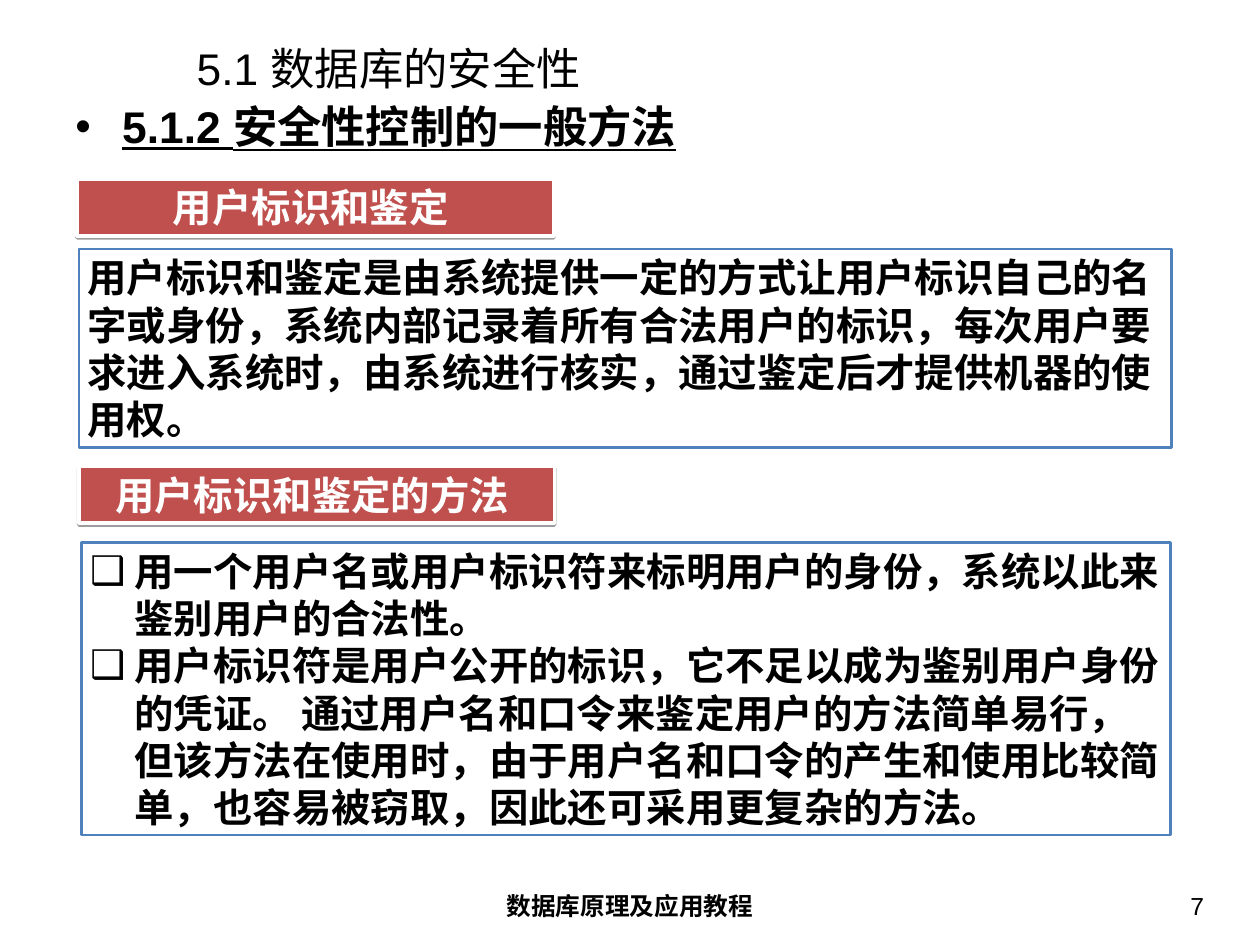
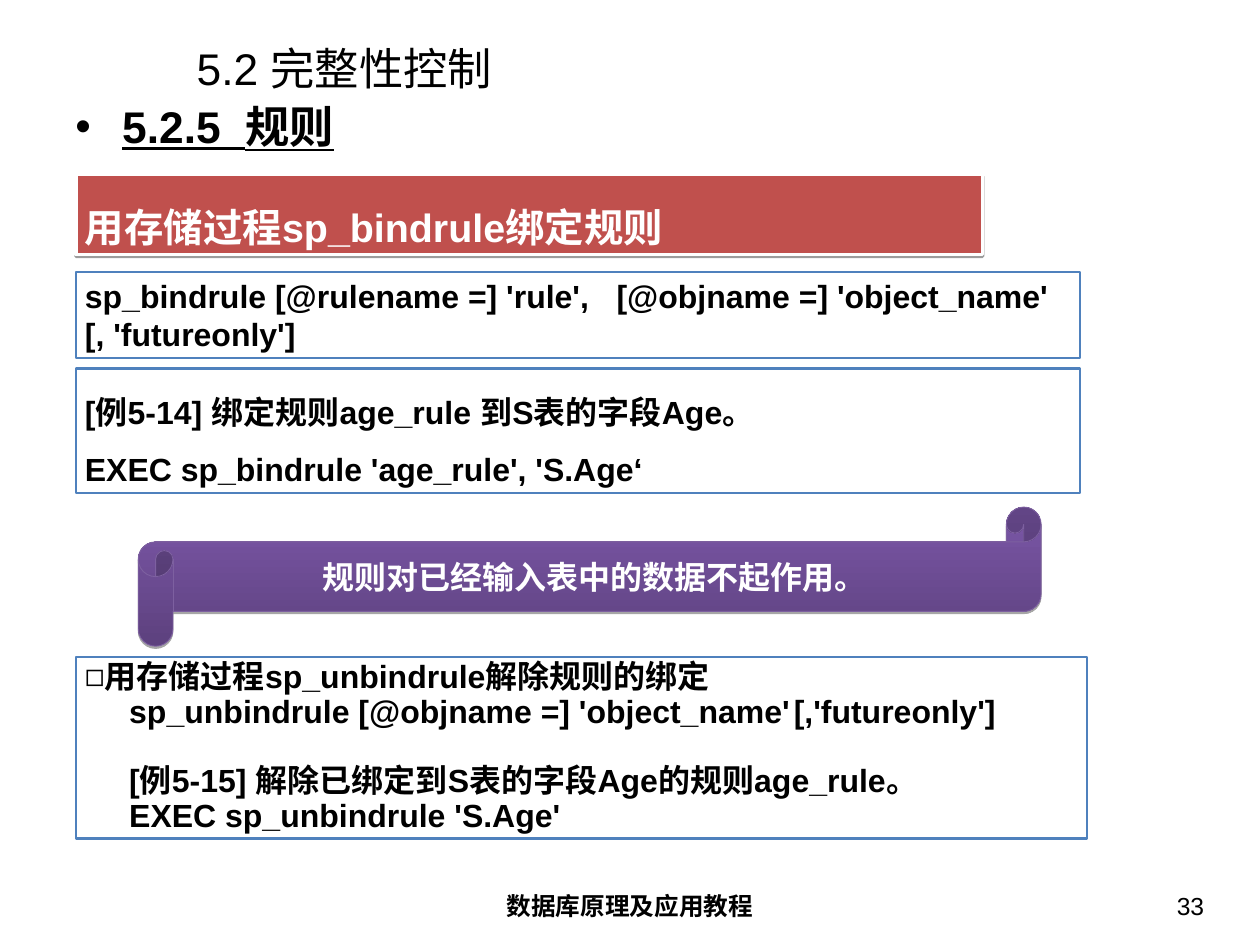
"""Build two database course slides, on security control and on rules."""
from lxml.etree import SubElement
from pptx import Presentation
from pptx.dml.color import RGBColor
from pptx.enum.shapes import MSO_SHAPE
from pptx.enum.text import MSO_ANCHOR, PP_ALIGN
from pptx.oxml.ns import qn
from pptx.util import Emu, Pt

PX = 9144
FONT = "Arial"
COLORS = {"text": "000000", "white": "FFFFFF", "red": "C0504D", "blue": "4F81BD",
          "scroll_dark": "5D417E", "scroll_light": "7B57A8", "scroll_line": "7D60A0"}
FOOTER = "数据库原理及应用教程"

CHECKED = {"bullet": "❑", "margin": 50, "indent": -50}
SYNTAX = {"level": 1, "margin": 50, "spacing": 0.9}

SLIDES = [
    {"title": "5.1 数据库的安全性", "heading": "5.1.2 安全性控制的一般方法", "number": "7",
     "parts": [
         ("banner", (87, 202, 538, 64), {"size": 32, "align": PP_ALIGN.CENTER},
          [("用户标识和鉴定 ", {})]),
         ("panel", (89, 281, 1233, 224), {"size": 32},
          [("用户标识和鉴定是由系统提供一定的方式让用户标识自己的名字或身份，"
            "系统内部记录着所有合法用户的标识，每次用户要求进入系统时，"
            "由系统进行核实，通过鉴定后才提供机器的使用权。", {})]),
         ("banner", (89, 526, 537, 64), {"size": 32, "align": PP_ALIGN.CENTER},
          [("用户标识和鉴定的方法 ", {})]),
         ("panel", (92, 612, 1229, 330), {"size": 32},
          [("用一个用户名或用户标识符来标明用户的身份，系统以此来鉴别用户的合法性。", CHECKED),
           ("用户标识符是用户公开的标识，它不足以成为鉴别用户身份的凭证。 "
            "通过用户名和口令来鉴定用户的方法简单易行，但该方法在使用时，"
            "由于用户名和口令的产生和使用比较简单，也容易被窃取，"
            "因此还可采用更复杂的方法。", CHECKED)]),
     ]},
    {"title": "5.2 完整性控制", "heading": "5.2.5  规则", "number": "33",
     "parts": [
         ("scroll", (156, 572, 1019, 157),
          {"size": 26, "align": PP_ALIGN.CENTER, "anchor": MSO_ANCHOR.MIDDLE, "wrap": False},
          [("规则对已经输入表中的数据不起作用。 ", {})]),
         ("banner", (86, 197, 1023, 90), {"size": 32},
          [("用存储过程sp_bindrule绑定规则", {"spacing": 1.5, "margin": 56, "indent": -56})]),
         ("panel", (86, 307, 1133, 97), {"size": 26},
          [("sp_bindrule [@rulename =] 'rule',\t[@objname =] 'object_name'\t[, 'futureonly']", {})]),
         ("panel", (86, 416, 1133, 140), {"size": 26},
          [("[例5-14] 绑定规则age_rule 到S表的字段Age。", {"spacing": 1.5}),
           ("EXEC sp_bindrule 'age_rule', 'S.Age‘", {"spacing": 1.5})]),
         ("panel", (86, 741, 1141, 205), {"size": 26},
          [("用存储过程sp_unbindrule解除规则的绑定", {"bullet": "◻", "spacing": 0.9}),
           ("sp_unbindrule [@objname =] 'object_name'\t[,'futureonly']", SYNTAX),
           ("[例5-15] 解除已绑定到S表的字段Age的规则age_rule。", {**SYNTAX, "before": 28}),
           ("EXEC sp_unbindrule 'S.Age'", SYNTAX)]),
     ]},
]

STYLES = {
    "banner": {"fill": "red", "line": "white", "width": 3, "color": "white", "shadow": (38, 1.6)},
    "panel": {"fill": "white", "line": "blue", "width": 2, "color": "text", "shadow": None},
    "scroll": {"fill": None, "line": "scroll_line", "width": 0.75, "color": "white",
               "shadow": (35, 1.8)},
}


def rgb(name):
    """Return the named colour."""
    return RGBColor.from_string(COLORS[name])


def format_paragraph(paragraph, align=PP_ALIGN.LEFT, bullet=None, margin=0, indent=0,
                     spacing=1.0, before=0, level=0):
    """Set alignment, indents, bullet, tab stops and spacing."""
    paragraph.alignment = align
    paragraph.level = level
    paragraph.line_spacing = spacing
    paragraph.space_before = Pt(before)
    properties = paragraph._p.get_or_add_pPr()
    properties.set("marL", str(margin * PX))
    properties.set("indent", str(indent * PX))
    if bullet:
        bullet_color = SubElement(properties, qn("a:buClr"))
        SubElement(bullet_color, qn("a:srgbClr"), val=COLORS["text"])
        SubElement(properties, qn("a:buFont"), typeface=FONT)
        SubElement(properties, qn("a:buChar"), char=bullet)
    tabs = SubElement(properties, qn("a:tabLst"))
    for inch in range(1, 10):
        SubElement(tabs, qn("a:tab"), pos=str(inch * 100 * PX), algn="l")


def write_text(shape, paragraphs, size=20, color="text", bold=False, underline=False,
               align=PP_ALIGN.LEFT, anchor=MSO_ANCHOR.TOP, inset=(14, 7), wrap=True):
    """Fill a shape with (text, paragraph format) pairs."""
    frame = shape.text_frame
    frame.word_wrap = wrap
    frame.vertical_anchor = anchor
    frame.margin_left = frame.margin_right = Emu(inset[0] * PX)
    frame.margin_top = frame.margin_bottom = Emu(inset[1] * PX)
    for index, (text, layout) in enumerate(paragraphs):
        paragraph = frame.add_paragraph() if index else frame.paragraphs[0]
        format_paragraph(paragraph, align, **layout)
        run = paragraph.add_run()
        run.text = text
        run.font.name = FONT
        run.font.size = Pt(size)
        run.font.bold = bold
        run.font.underline = underline
        run.font.color.rgb = rgb(color)


def add_label(slide, box, text, layout=None, **style):
    """Add a text box holding one paragraph."""
    shape = slide.shapes.add_textbox(*(Emu(value * PX) for value in box))
    write_text(shape, [(text, layout or {})], **style)


def add_shadow(shape, opacity, distance):
    """Drop a hard black shadow straight down."""
    effects = shape._element.spPr.find(qn("a:effectLst"))
    shadow = SubElement(effects, qn("a:outerShdw"), blurRad="0", dist=str(Pt(distance)),
                        dir="5400000", algn="ctr", rotWithShape="0")
    shadow_color = SubElement(shadow, qn("a:srgbClr"), val=COLORS["text"])
    SubElement(shadow_color, qn("a:alpha"), val=str(opacity * 1000))


def add_part(slide, kind, box, text_style, paragraphs):
    """Add a banner, panel or scroll with its text."""
    style = STYLES[kind]
    preset = MSO_SHAPE.HORIZONTAL_SCROLL if kind == "scroll" else MSO_SHAPE.RECTANGLE
    shape = slide.shapes.add_shape(preset, *(Emu(value * PX) for value in box))
    if kind == "scroll":
        shape.adjustments[0] = 0.25
        shape.fill.gradient()
        shape.fill.gradient_angle = 90
        for stop, position, name in zip(shape.fill.gradient_stops, (0, 1),
                                        ("scroll_dark", "scroll_light")):
            stop.position = position
            stop.color.rgb = rgb(name)
    else:
        shape.fill.solid()
        shape.fill.fore_color.rgb = rgb(style["fill"])
    shape.line.color.rgb = rgb(style["line"])
    shape.line.width = Pt(style["width"])
    shape.shadow.inherit = False
    if style["shadow"]:
        add_shadow(shape, *style["shadow"])
    inset = (14, 7) if kind == "scroll" else (10, 5)
    write_text(shape, paragraphs, color=style["color"], bold=True, inset=inset, **text_style)


def add_slide(presentation, content):
    """Add one slide with its title, heading, parts and footer."""
    slide = presentation.slides.add_slide(presentation.slide_layouts[6])
    add_label(slide, (208, 48, 1183, 57), content["title"], size=36, anchor=MSO_ANCHOR.MIDDLE)
    add_label(slide, (71, 105, 1280, 89), content["heading"],
              {"bullet": "•", "margin": 53, "indent": -53}, size=36, bold=True, underline=True)
    for part in content["parts"]:
        add_part(slide, *part)
    add_label(slide, (486, 998, 450, 55), FOOTER, bold=True, align=PP_ALIGN.CENTER)
    add_label(slide, (1041, 998, 332, 55), content["number"], align=PP_ALIGN.RIGHT)


def main():
    """Build and save the presentation."""
    presentation = Presentation()
    presentation.slide_width = Emu(1422 * PX)
    presentation.slide_height = Emu(1066 * PX)
    for content in SLIDES:
        add_slide(presentation, content)
    presentation.save("out.pptx")


if __name__ == "__main__":
    main()
